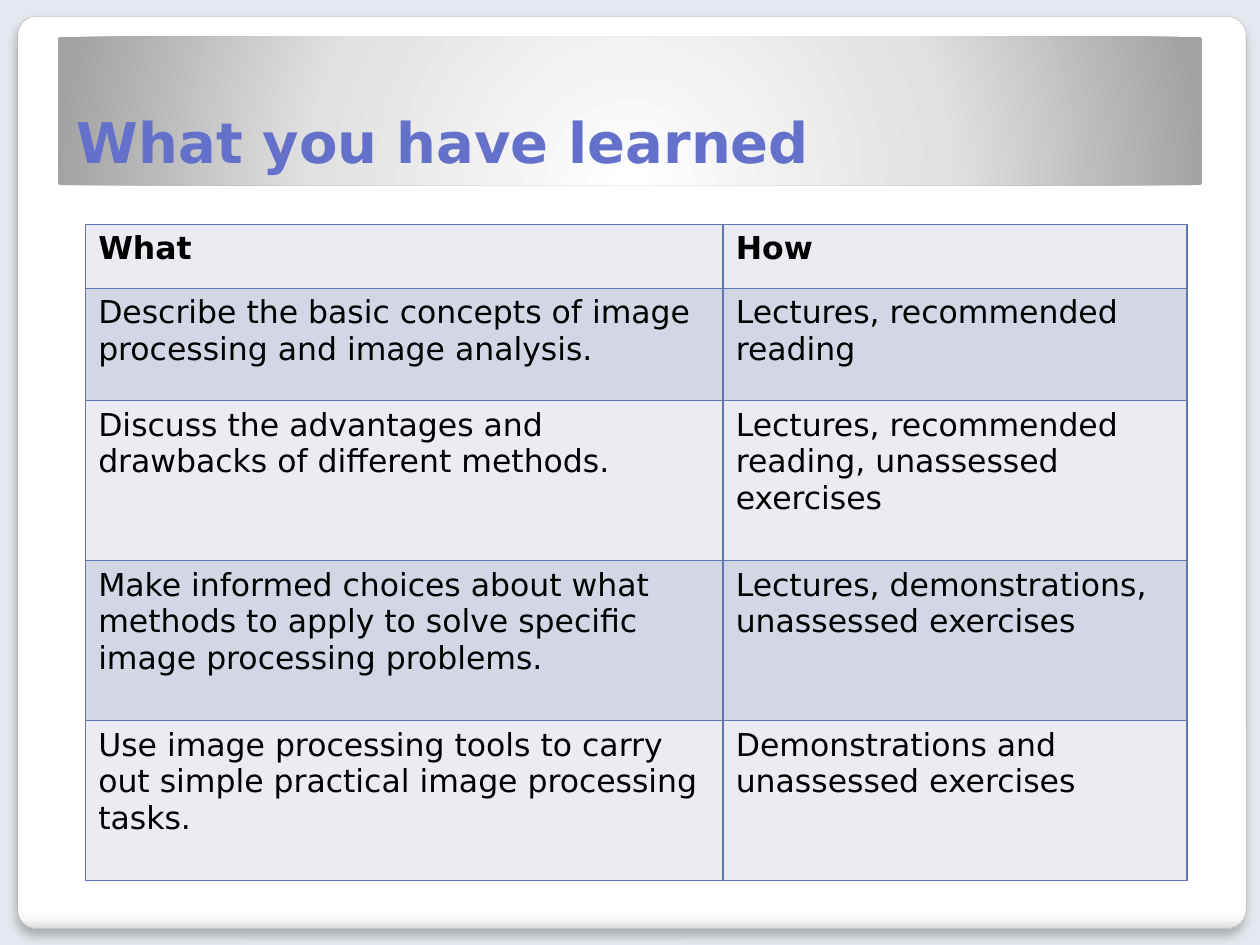
from dataclasses import dataclass

import pptx
import pptx.dml.color
import pptx.enum.shapes
import pptx.enum.text
import pptx.oxml
import pptx.oxml.ns
import pptx.util
from pptx.util import Inches, Pt

RGBColor = pptx.dml.color.RGBColor
BACKGROUND = RGBColor(0xE4, 0xE9, 0xEF)
PANEL_LINE = RGBColor(0xA4, 0xA4, 0xA4)
TITLE_COLOUR = RGBColor(0x64, 0x70, 0xCA)
TEXT_COLOUR = RGBColor(0, 0, 0)
BORDER = RGBColor(0x60, 0x76, 0xB4)
BANDS = (RGBColor(0xEA, 0xEC, 0xF2), RGBColor(0xD2, 0xD6, 0xE5))
FONT = "DejaVu Sans"
NAMESPACE = pptx.oxml.ns.nsdecls("a")

ROWS = (
    ("What", "How"),
    ("Describe the basic concepts of image processing and image analysis.",
     "Lectures, recommended reading"),
    ("Discuss the advantages and drawbacks of different methods.",
     "Lectures, recommended reading, unassessed exercises"),
    ("Make informed choices about what methods to apply to solve specific "
     "image processing problems.",
     "Lectures, demonstrations, unassessed exercises"),
    ("Use image processing tools to carry out simple practical image processing tasks.",
     "Demonstrations and unassessed exercises"),
)
COLUMN_WIDTHS = (5.06, 3.68)
ROW_HEIGHTS = (0.51, 0.89, 1.27, 1.27, 1.27)


@dataclass
class Panel:
    left: float
    top: float
    width: float
    height: float
    stops: tuple[tuple[int, str], ...]
    direction: str


CARD = Panel(0.14, 0.13, 9.75, 7.24,
             ((0, "FFFFFF"), (98, "FFFFFF"), (99, "F7F7F7"), (100, "DADADA")),
             '<a:lin ang="5400000" scaled="0"/>')
BANNER = Panel(0.46, 0.29, 9.08, 1.18,
               ((0, "FFFFFF"), (55, "E1E1E1"), (100, "A2A2A2")),
               '<a:path path="circle"><a:fillToRect l="50000" t="175000" '
               'r="50000" b="-75000"/></a:path>')


def add_panel(page: pptx.slide.Slide, panel: Panel):
    shape = page.shapes.add_shape(
        pptx.enum.shapes.MSO_SHAPE.ROUNDED_RECTANGLE,
        Inches(panel.left), Inches(panel.top), Inches(panel.width), Inches(panel.height))
    shape.adjustments[0] = 0.021
    shape.shadow.inherit = False
    shape.line.fill.background()
    stops = "".join(f'<a:gs pos="{position * 1000}"><a:srgbClr val="{colour}"/></a:gs>'
                    for position, colour in panel.stops)
    gradient = pptx.oxml.parse_xml(
        f'<a:gradFill {NAMESPACE} rotWithShape="1"><a:gsLst>{stops}</a:gsLst>'
        f'{panel.direction}</a:gradFill>')
    shape.line._ln.addprevious(gradient)
    return shape


def add_drop_shadow(shape) -> None:
    effects = shape._element.spPr.find(pptx.oxml.ns.qn("a:effectLst"))
    effects.append(pptx.oxml.parse_xml(
        f'<a:outerShdw {NAMESPACE} blurRad="{Pt(6)}" dist="{Pt(4)}" dir="5400000" '
        'algn="t" rotWithShape="0"><a:srgbClr val="000000"><a:alpha val="25000"/>'
        '</a:srgbClr></a:outerShdw>'))


def format_font(font: pptx.text.text.Font, size: int, colour: RGBColor, bold: bool) -> None:
    for name, value in {"name": FONT, "size": Pt(size), "bold": bold}.items():
        setattr(font, name, value)
    font.color.rgb = colour


def add_borders(cell: pptx.table._Cell) -> None:
    properties = cell._tc.get_or_add_tcPr()
    for side in ("lnL", "lnR", "lnT", "lnB"):
        properties.append(pptx.oxml.parse_xml(
            f'<a:{side} {NAMESPACE} w="{Pt(1)}"><a:solidFill>'
            f'<a:srgbClr val="{BORDER}"/></a:solidFill></a:{side}>'))


def add_outcomes_table(page: pptx.slide.Slide) -> None:
    table = page.shapes.add_table(
        len(ROWS), len(COLUMN_WIDTHS), Inches(0.68), Inches(1.78),
        Inches(sum(COLUMN_WIDTHS)), Inches(sum(ROW_HEIGHTS))).table
    for column, width in zip(table.columns, COLUMN_WIDTHS):
        column.width = Inches(width)
    for index, (row, height, texts) in enumerate(zip(table.rows, ROW_HEIGHTS, ROWS)):
        row.height = Inches(height)
        for cell, text in zip(row.cells, texts):
            add_borders(cell)
            cell.fill.solid()
            cell.fill.fore_color.rgb = BANDS[index % 2]
            cell.text = text
            span = cell.text_frame.paragraphs[0].runs[0]
            format_font(span.font, 18, TEXT_COLOUR, index == 0)


def place_title(page: pptx.slide.Slide, text: str) -> None:
    """Fill the title placeholder and bring it in front of the panels."""
    title = page.shapes.title
    for name, value in {"left": 0.51, "top": 0.29, "width": 8.95, "height": 1.15}.items():
        setattr(title, name, Inches(value))
    title.text = text
    frame = title.text_frame
    for name, value in {"vertical_anchor": pptx.enum.text.MSO_ANCHOR.BOTTOM,
                        "auto_size": pptx.enum.text.MSO_AUTO_SIZE.NONE,
                        "word_wrap": True}.items():
        setattr(frame, name, value)
    para = frame.paragraphs[0]
    para.alignment = pptx.enum.text.PP_ALIGN.LEFT
    format_font(para.runs[0].font, 32, TITLE_COLOUR, True)
    page.shapes._spTree.append(title._element)


def main() -> None:
    deck = pptx.Presentation()
    deck.slide_width, deck.slide_height = Inches(10), Inches(7.5)
    page = deck.slides.add_slide(deck.slide_layouts[5])
    page.background.fill.solid()
    page.background.fill.fore_color.rgb = BACKGROUND

    card = add_panel(page, CARD)
    card.line.color.rgb = PANEL_LINE
    card.line.width = Pt(0.16)
    add_drop_shadow(card)
    add_panel(page, BANNER)
    place_title(page, "What you have learned")
    add_outcomes_table(page)
    deck.save("out.pptx")


if __name__ == "__main__":
    main()
